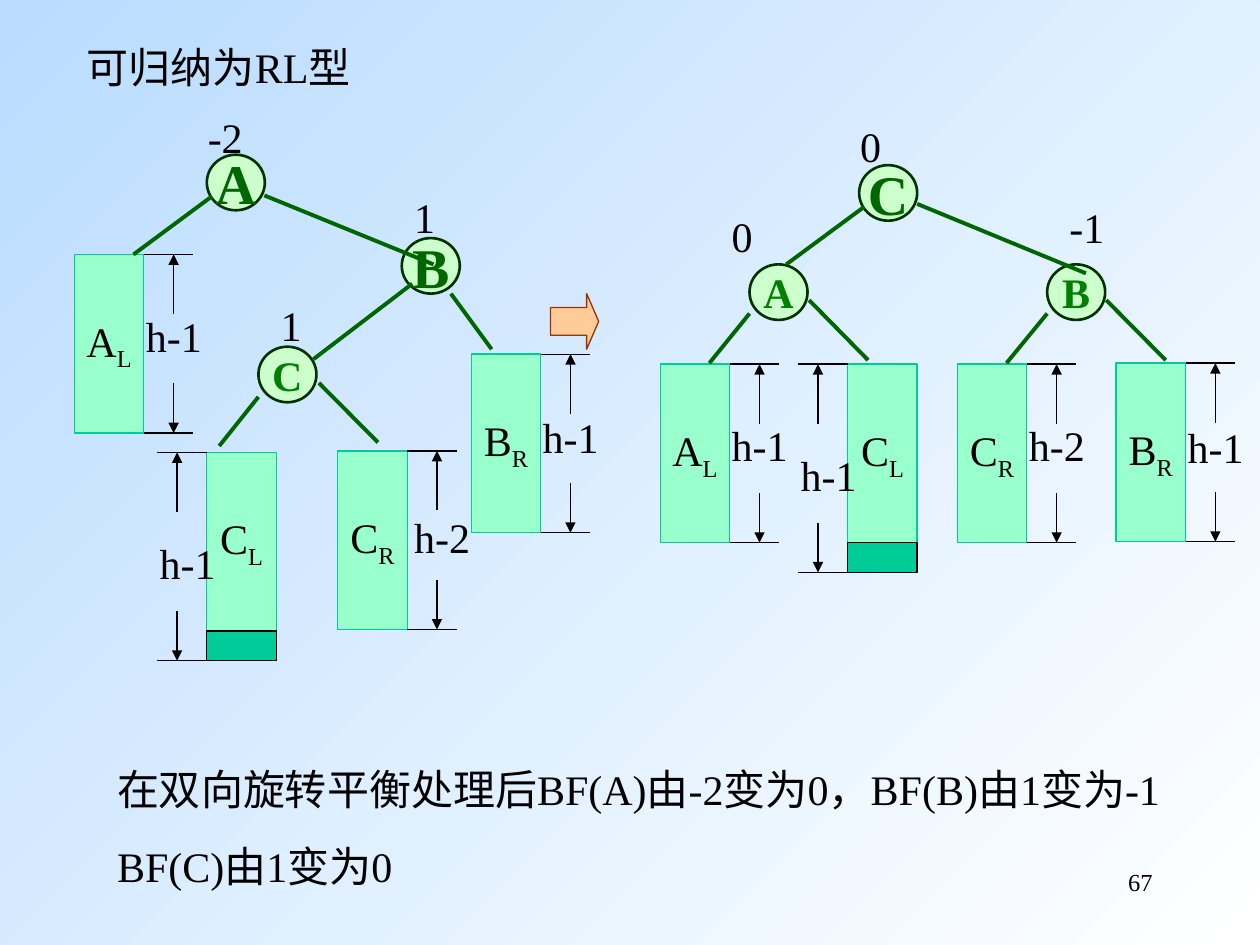
"""Build the slide that shows an RL double rotation of a balanced tree."""
from lxml.etree import SubElement
from pptx import Presentation
from pptx.dml.color import RGBColor
from pptx.enum.shapes import MSO_CONNECTOR as Connector, MSO_SHAPE as Shape
from pptx.enum.text import MSO_ANCHOR as Anchor, MSO_AUTO_SIZE as AutoSize, PP_ALIGN as Align
from pptx.oxml.ns import qn
from pptx.util import Cm, Pt

BLACK = RGBColor(0x00, 0x00, 0x00)
WHITE = RGBColor(0xFF, 0xFF, 0xFF)
SKY = RGBColor(0xB9, 0xDC, 0xFF)
NODE_FILL = RGBColor(0xCC, 0xFF, 0xCC)
NODE_LINE = RGBColor(0x00, 0x33, 0x00)
DARK_GREEN = RGBColor(0x00, 0x66, 0x00)
MID_GREEN = RGBColor(0x00, 0x80, 0x00)
TREE_FILL = RGBColor(0x99, 0xFF, 0xCC)
TEAL = RGBColor(0x00, 0xCC, 0x99)
PEACH = RGBColor(0xFF, 0xCC, 0x99)
BROWN = RGBColor(0x99, 0x33, 0x00)

FONT = "Times New Roman"
NODE_WIDTH, NODE_HEIGHT = 1.17, 1.12
TREE_WIDTH, TREE_HEIGHT, EXTRA_HEIGHT = 1.4, 3.6, 0.6
TICK, ARROW_GAP, UP_ARROW, DOWN_ARROW = 1, 0.6, 1.2, 1
LABEL_WIDTH, LINE_HEIGHT = 2.39, 1.27

LEFT_EDGES = [
    (5.33, 3.94, 8.74, 5.33),
    (9.09, 5.92, 9.91, 7.04),
    (2.69, 5.13, 4.27, 3.96),
    (6.32, 7.24, 8.31, 5.72),
]
GROUP_EDGES = [(4.42, 8.99, 5.21, 8), (6.43, 7.72, 7.62, 8.92)]
RIGHT_EDGES = [
    (14.3, 7.32, 15.11, 6.32),
    (16.31, 6.05, 17.5, 7.26),
    (18.49, 4.11, 21.89, 5.51),
    (15.85, 5.33, 17.42, 4.17),
    (20.29, 7.32, 21.11, 6.32),
    (22.3, 6.05, 23.5, 7.26),
]
BALANCES = [
    ("-2", 3.94, 2.13, 1.75),
    ("1", 8.1, 3.73, 1.6),
    ("0", 14.5, 4.11, 1),
    ("0", 17.09, 2.31, 1),
    ("-1", 21.31, 3.94, 1.8),
]


def add_span(para, text, size=24, color=BLACK, bold=False, subscript=False):
    """Add a formatted run to a paragraph."""
    span = para.add_run()
    span.text = text
    font = span.font
    font.name, font.size, font.bold = FONT, Pt(size), bold
    font.color.rgb = color
    if subscript:
        font._element.set("baseline", "-25000")


def add_text(shapes, text, left, top, width, height=LINE_HEIGHT, size=24,
             align=Align.LEFT, space=15, grow=True):
    """Add a wrapping text box with one paragraph per line of text."""
    box = shapes.add_textbox(Cm(left), Cm(top), Cm(width), Cm(height))
    frame = box.text_frame
    frame.word_wrap = True
    frame.auto_size = AutoSize.SHAPE_TO_FIT_TEXT if grow else AutoSize.NONE
    for index, line in enumerate(text.split("\n")):
        para = frame.add_paragraph() if index else frame.paragraphs[0]
        para.alignment, para.space_before = align, Pt(space)
        add_span(para, line, size=size)


def add_box(shapes, kind, left, top, width, height, fill, line, weight=0.75):
    """Add a filled preset shape and return it."""
    box = shapes.add_shape(kind, Cm(left), Cm(top), Cm(width), Cm(height))
    box.shadow.inherit = False
    box.fill.solid()
    box.fill.fore_color.rgb = fill
    box.line.color.rgb = line
    box.line.width = Pt(weight)
    return box


def centre_para(box):
    """Return the centred, unwrapped first paragraph of a shape."""
    frame = box.text_frame
    frame.word_wrap = False
    frame.vertical_anchor = Anchor.MIDDLE
    para = frame.paragraphs[0]
    para.alignment = Align.CENTER
    return para


def add_line(shapes, x1, y1, x2, y2, color=BLACK, weight=0.75, arrow=False):
    """Add a straight line, with an arrowhead at its end if wanted."""
    line = shapes.add_connector(Connector.STRAIGHT, Cm(x1), Cm(y1), Cm(x2), Cm(y2))
    line.line.color.rgb = color
    line.line.width = Pt(weight)
    if arrow:
        SubElement(line.line._get_or_add_ln(), qn("a:tailEnd"), type="triangle")
    SubElement(line._element.spPr, qn("a:effectLst"))


def add_edges(shapes, edges):
    """Add the green tree edges."""
    for edge in edges:
        add_line(shapes, *edge, color=DARK_GREEN, weight=2.25)


def add_node(shapes, letter, left, top, size=24, color=MID_GREEN):
    """Add a round tree node."""
    node = add_box(shapes, Shape.OVAL, left, top, NODE_WIDTH, NODE_HEIGHT,
                   NODE_FILL, NODE_LINE, weight=1.5)
    add_span(centre_para(node), letter, size=size, color=color, bold=True)


def add_subtree(shapes, name, left, top, label, label_dx=1.19, label_dy=1, extra=False):
    """Add a subtree with its height bracket, on the left if it has an extra level."""
    tree = add_box(shapes, Shape.RECTANGLE, left, top, TREE_WIDTH, TREE_HEIGHT, TREE_FILL, TEAL)
    para = centre_para(tree)
    add_span(para, name[0])
    add_span(para, name[1], subscript=True)
    bottom, side, direction = top + TREE_HEIGHT, left + TREE_WIDTH, 1
    if extra:
        add_box(shapes, Shape.RECTANGLE, left, bottom, TREE_WIDTH, EXTRA_HEIGHT, TEAL, BLACK)
        bottom, side, direction = bottom + EXTRA_HEIGHT, left, -1
    for y in (top, bottom):
        add_line(shapes, side, y, side + direction * TICK, y)
    x = side + direction * ARROW_GAP
    add_line(shapes, x, top + UP_ARROW, x, top, arrow=True)
    add_line(shapes, x, bottom - DOWN_ARROW, x, bottom, arrow=True)
    add_text(shapes, label, left + label_dx, top + label_dy, LABEL_WIDTH)


def add_left_tree(shapes):
    """Add the tree before the rotation."""
    add_node(shapes, "A", 4.17, 3.12, size=32, color=DARK_GREEN)
    add_subtree(shapes.add_group_shape().shapes, "BR", 9.5, 7.14, "h-1", label_dy=1.04)
    inner = shapes.add_group_shape().shapes
    add_node(inner, "C", 5.21, 6.99)
    add_subtree(inner, "CL", 4.17, 9.12, "h-1", label_dx=-1.2, label_dy=1.6, extra=True)
    add_subtree(inner, "CR", 6.81, 9.09, "h-2", label_dx=1.29, label_dy=1.1)
    add_edges(inner, GROUP_EDGES)
    add_text(inner, "1", 5.41, 5.92, 1)
    add_node(shapes, "B", 8.1, 4.8, size=32, color=DARK_GREEN)
    add_subtree(shapes, "AL", 1.5, 5.13, "h-1")
    add_edges(shapes, LEFT_EDGES)


def add_right_tree(shapes):
    """Add the tree after the rotation."""
    add_subtree(shapes, "AL", 13.31, 7.34, "h-1")
    add_subtree(shapes, "CL", 17.09, 7.34, "h-1", label_dx=-1.2, label_dy=1.6, extra=True)
    add_subtree(shapes, "CR", 19.3, 7.34, "h-2")
    add_subtree(shapes, "BR", 22.5, 7.32, "h-1", label_dy=1.06)
    add_node(shapes, "C", 17.32, 3.33, size=32, color=DARK_GREEN)
    add_node(shapes, "A", 15.11, 5.33)
    add_node(shapes, "B", 21.11, 5.33)
    add_edges(shapes, RIGHT_EDGES)


def paint_background(slide):
    """Fill the background with a diagonal gradient."""
    fill = slide.background.fill
    fill.gradient()
    fill.gradient_angle = 315
    for stop, color in zip(fill.gradient_stops, (SKY, WHITE)):
        stop.color.rgb = color


def main():
    """Build and save the deck."""
    deck = Presentation()
    deck.slide_width, deck.slide_height = Cm(25.4), Cm(19.05)
    slide = deck.slides.add_slide(deck.slide_layouts[6])
    paint_background(slide)
    shapes = slide.shapes
    add_left_tree(shapes)
    add_right_tree(shapes)
    for balance in BALANCES:
        add_text(shapes, *balance)
    arrow = add_box(shapes, Shape.RIGHT_ARROW, 11.1, 5.92, 0.97, 1.12, PEACH, BROWN)
    arrow.adjustments[0], arrow.adjustments[1] = 0.5, 0.25
    add_text(shapes, "可归纳为RL型", 1.5, 0.71, 7.59)
    add_text(shapes, "在双向旋转平衡处理后BF(A)由-2变为0，BF(B)由1变为-1\nBF(C)由1变为0",
             2.11, 15.27, 21.79, height=3.84)
    add_text(shapes, "67", 18.21, 17.35, 5.28, size=14, align=Align.RIGHT, space=0, grow=False)
    deck.save("out.pptx")


if __name__ == "__main__":
    main()
